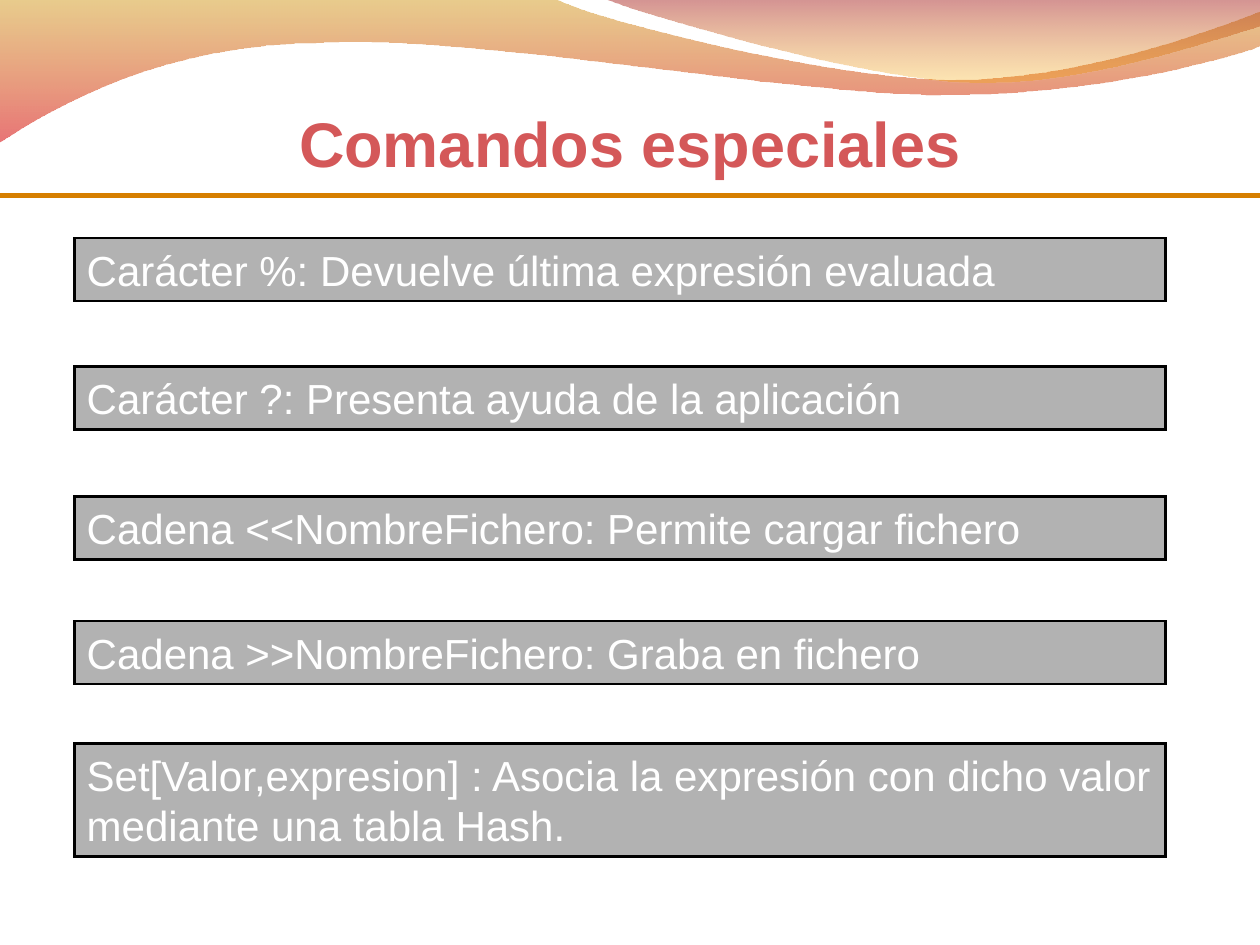
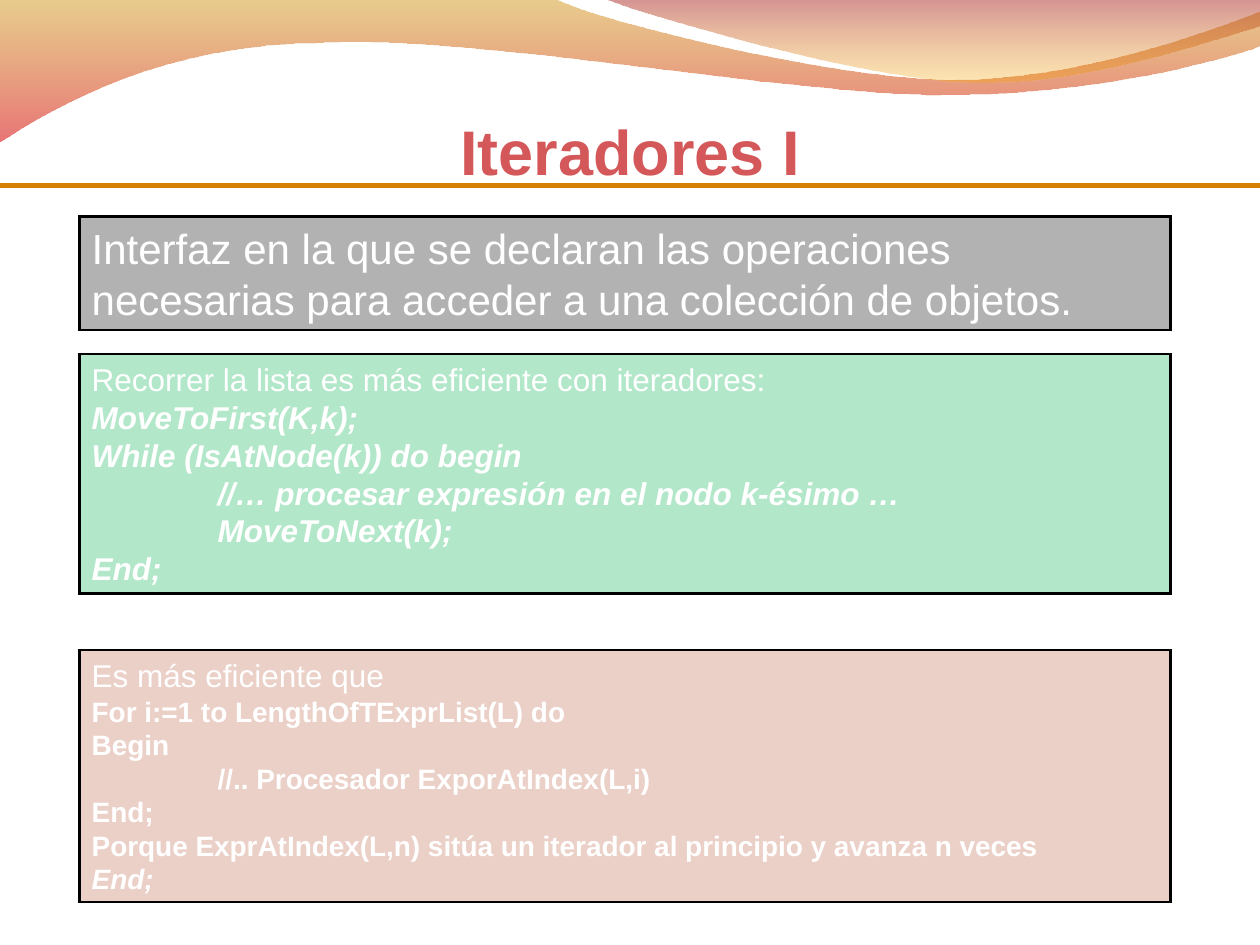
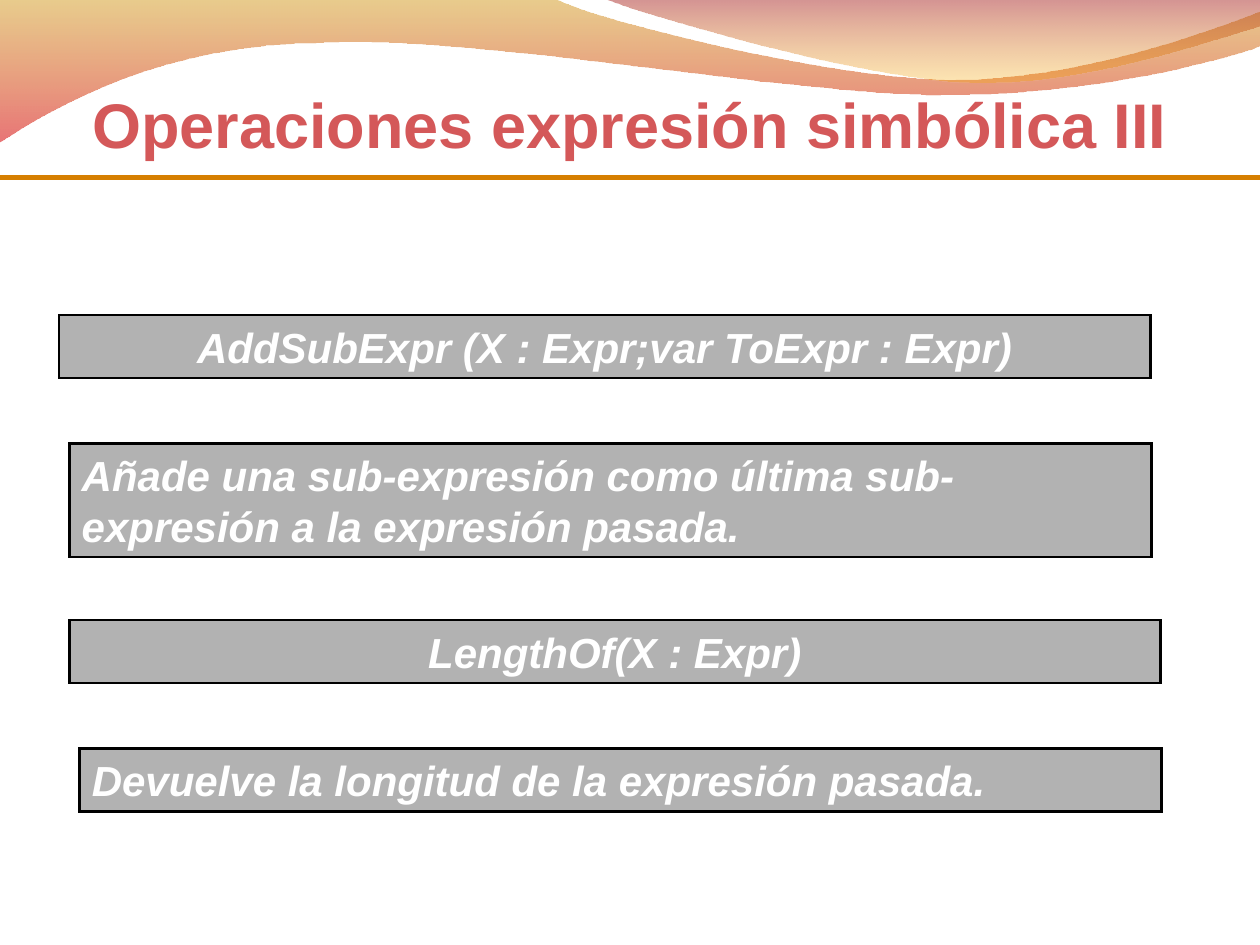
from lxml import etree
from pptx import Presentation, util as u
from pptx.dml.color import RGBColor
from pptx.enum import shapes, text
from pptx.oxml.ns import qn

WIDTH, HEIGHT = 10, 7.5
FONT = "Arial"
TITLE_RED = RGBColor(0xD4, 0x58, 0x59)
RULE_ORANGE = RGBColor(0xD6, 0x7F, 0x00)
BLACK = RGBColor(0x00, 0x00, 0x00)
WHITE = RGBColor(0xFF, 0xFF, 0xFF)
GREEN = RGBColor(0x00, 0xB0, 0x50)
BRICK = RGBColor(0xC0, 0x65, 0x4C)
GOLD = RGBColor(0xCD, 0x8E, 0x00)
RED = RGBColor(0xD6, 0x02, 0x04)
WINE = RGBColor(0x9F, 0x0D, 0x0E)
AMBER = RGBColor(0xFF, 0xB4, 0x00)

BOX_OPACITY = 30
BOX_WIDTH, NARROW_WIDTH = 8.66, 8.59
TITLE_SIZE, BODY_SIZE = 36, 24

# Each wave: gradient stops (colour, opacity), then an outline in inches.
# One point is a straight stretch; three points are a Bezier curve.
WAVES = [
    {"stops": [(GOLD, 45), (RED, 55)],
     "start": (0, -0.01),
     "outline": [
         [(4.4, -0.01)],
         [(4.76, 0.17), (6.64, 0.63), (7.58, 0.63)],
         [(8.53, 0.63), (9.58, 0.26), (10, 0.09)],
         [(10.01, 0.36)],
         [(9.83, 0.44), (8.7, 0.76), (7.46, 0.75)],
         [(6.22, 0.75), (3.82, 0.28), (2.57, 0.34)],
         [(1.29, 0.35), (0.46, 0.83), (-0.01, 1.13)]]},
    {"stops": [(WINE, 45), (AMBER, 30)],
     "start": (4.79, -0.01),
     "outline": [
         [(5.09, 0.11), (6.82, 0.62), (7.69, 0.65)],
         [(8.56, 0.69), (9.61, 0.32), (10, 0.21)],
         [(10, 0)]]},
]


def box(left, top, lines, rows=None, width=BOX_WIDTH, fill=BLACK, centred=False):
    """Describe a box; lines are (text, size, style), rows counts them once wrapped."""
    return {"left": left, "top": top, "lines": lines, "rows": rows or len(lines),
            "width": width, "fill": fill, "centred": centred}


def statement(left, top, words, rows=1, style="", **options):
    return box(left, top, [(words, BODY_SIZE, style)], rows, **options)


SLIDES = [
    {"title": "Comandos especiales", "title_top": 0.78, "rule_y": 1.55, "boxes": [
        statement(0.59, 1.89, "Carácter %: Devuelve última expresión evaluada"),
        statement(0.59, 2.91, "Carácter ?: Presenta ayuda de la aplicación"),
        statement(0.59, 3.94, "Cadena <<NombreFichero: Permite cargar fichero"),
        statement(0.59, 4.93, "Cadena >>NombreFichero: Graba en fichero"),
        statement(0.59, 5.9, "Set[Valor,expresion] : Asocia la expresión con dicho valor "
                  "mediante una tabla Hash.", rows=2),
    ]},
    {"title": "Iteradores I", "title_top": 0.84, "rule_y": 1.47, "boxes": [
        statement(0.63, 1.72, "Interfaz en la que se declaran las operaciones necesarias "
                  "para acceder a una colección de objetos.", rows=2),
        box(0.63, 2.81, [
            ("Recorrer la lista es más eficiente con iteradores:", 18, ""),
            ("MoveToFirst(K,k);", 18, "bi"),
            ("While (IsAtNode(k)) do begin", 18, "bi"),
            ("\t//… procesar expresión en el nodo k-ésimo …", 18, "bi"),
            ("\tMoveToNext(k);", 18, "bi"),
            ("End;", 18, "bi"),
        ], fill=GREEN),
        box(0.63, 5.16, [
            ("Es más eficiente que", 18, ""),
            ("For i:=1 to LengthOfTExprList(L) do", 16, "b"),
            ("Begin", 16, "b"),
            ("\t//.. Procesador ExporAtIndex(L,i)", 16, "b"),
            ("End;", 16, "b"),
            ("Porque ExprAtIndex(L,n) sitúa un iterador al principio y avanza n veces",
             16, "b"),
            ("End;", 16, "bi"),
        ], fill=BRICK),
    ]},
    {"title": "Operaciones expresión simbólica III", "title_top": 0.63, "rule_y": 1.41,
     "boxes": [
         statement(0.47, 2.5, "AddSubExpr (X : Expr;var ToExpr : Expr)",
                   style="bi", centred=True),
         statement(0.55, 3.52, "Añade una sub-expresión como última sub-expresión a la "
                   "expresión pasada.", rows=2, style="bi", width=NARROW_WIDTH),
         statement(0.55, 4.92, "LengthOf(X : Expr)", style="bi", centred=True),
         statement(0.63, 5.94, "Devuelve la longitud de la expresión pasada.",
                   style="bi", width=NARROW_WIDTH),
     ]},
]


def set_opacity(fill_xml, percents):
    for colour, percent in zip(fill_xml.iter(qn("a:srgbClr")), percents):
        etree.SubElement(colour, qn("a:alpha")).set("val", str(percent * 1000))


def text_height(lines, rows):
    """Height of a box: line spacing is size / 60 inches, plus the insets."""
    wrapped = rows - len(lines)
    return 0.1 + (sum(size for _, size, _ in lines) + wrapped * lines[-1][1]) / 60


def bend(wave, outline):
    """Merge the three segments of each curved stretch into one Bezier curve."""
    segments = iter(list(wave.element.iter(qn("a:lnTo"))))
    for stretch in outline:
        first, *others = [next(segments) for _ in stretch]
        if others:
            first.tag = qn("a:cubicBezTo")
            for segment in others:
                first.append(segment[0])
                segment.getparent().remove(segment)


def add_wave(slide, stops, start, outline):
    def emu(point):
        return tuple(u.Inches(length) for length in point)

    builder = slide.shapes.build_freeform(*emu(start))
    builder.add_line_segments([emu(p) for stretch in outline for p in stretch], close=True)
    wave = builder.convert_to_shape()
    bend(wave, outline)
    wave.shadow.inherit = False
    wave.line.fill.background()
    wave.fill.gradient()
    wave.fill.gradient_angle = 270
    for stop, (colour, _) in zip(wave.fill.gradient_stops, stops):
        stop.color.rgb = colour
    set_opacity(wave.element.spPr.find(qn("a:gradFill")), [p for _, p in stops])


def add_rule(slide, y):
    rule = slide.shapes.add_connector(shapes.MSO_CONNECTOR.STRAIGHT, 0, u.Inches(y),
                                      u.Inches(WIDTH), u.Inches(y))
    rule.line.color.rgb = RULE_ORANGE
    rule.line.width = u.Pt(3)
    etree.SubElement(rule.element.spPr, qn("a:effectLst"))


def write(shape, lines, colour, centred):
    frame = shape.text_frame
    frame.word_wrap = True
    frame.auto_size = text.MSO_AUTO_SIZE.SHAPE_TO_FIT_TEXT
    frame.vertical_anchor = text.MSO_ANCHOR.TOP
    for index, (words, size, style) in enumerate(lines):
        paragraph = frame.add_paragraph() if index else frame.paragraphs[0]
        paragraph.alignment = text.PP_ALIGN.CENTER if centred else text.PP_ALIGN.LEFT
        if size == BODY_SIZE:
            paragraph.space_before = u.Pt(15)
        if "\t" in words:
            stops = etree.SubElement(paragraph._p.get_or_add_pPr(), qn("a:tabLst"))
            etree.SubElement(stops, qn("a:tab"), pos=str(u.Inches(1)), algn="l")
        run = paragraph.add_run()
        run.text = words
        run.font.name = FONT
        run.font.size = u.Pt(size)
        run.font.color.rgb = colour
        run.font.bold = "b" in style
        run.font.italic = "i" in style


def add_title(slide, words, top):
    lines = [(words, TITLE_SIZE, "b")]
    title = slide.shapes.add_textbox(0, u.Inches(top), u.Inches(WIDTH),
                                     u.Inches(text_height(lines, 1)))
    write(title, lines, TITLE_RED, centred=True)


def add_box(slide, left, top, lines, rows, width, fill, centred):
    panel = slide.shapes.add_shape(
        shapes.MSO_SHAPE.RECTANGLE, u.Inches(left), u.Inches(top),
        u.Inches(width), u.Inches(text_height(lines, rows)))
    panel.shadow.inherit = False
    panel.fill.solid()
    panel.fill.fore_color.rgb = fill
    set_opacity(panel.element.spPr.find(qn("a:solidFill")), [BOX_OPACITY])
    panel.line.color.rgb = BLACK
    panel.line.width = u.Pt(1.5)
    etree.SubElement(panel.element.spPr.find(qn("a:ln")), qn("a:miter"), lim="800000")
    write(panel, lines, WHITE, centred)


def main():
    deck = Presentation()
    deck.slide_width, deck.slide_height = u.Inches(WIDTH), u.Inches(HEIGHT)
    for content in SLIDES:
        slide = deck.slides.add_slide(deck.slide_layouts[6])
        for wave in WAVES:
            add_wave(slide, **wave)
        add_rule(slide, content["rule_y"])
        add_title(slide, content["title"], content["title_top"])
        for panel in content["boxes"]:
            add_box(slide, **panel)
    deck.save("out.pptx")


if __name__ == "__main__":
    main()
